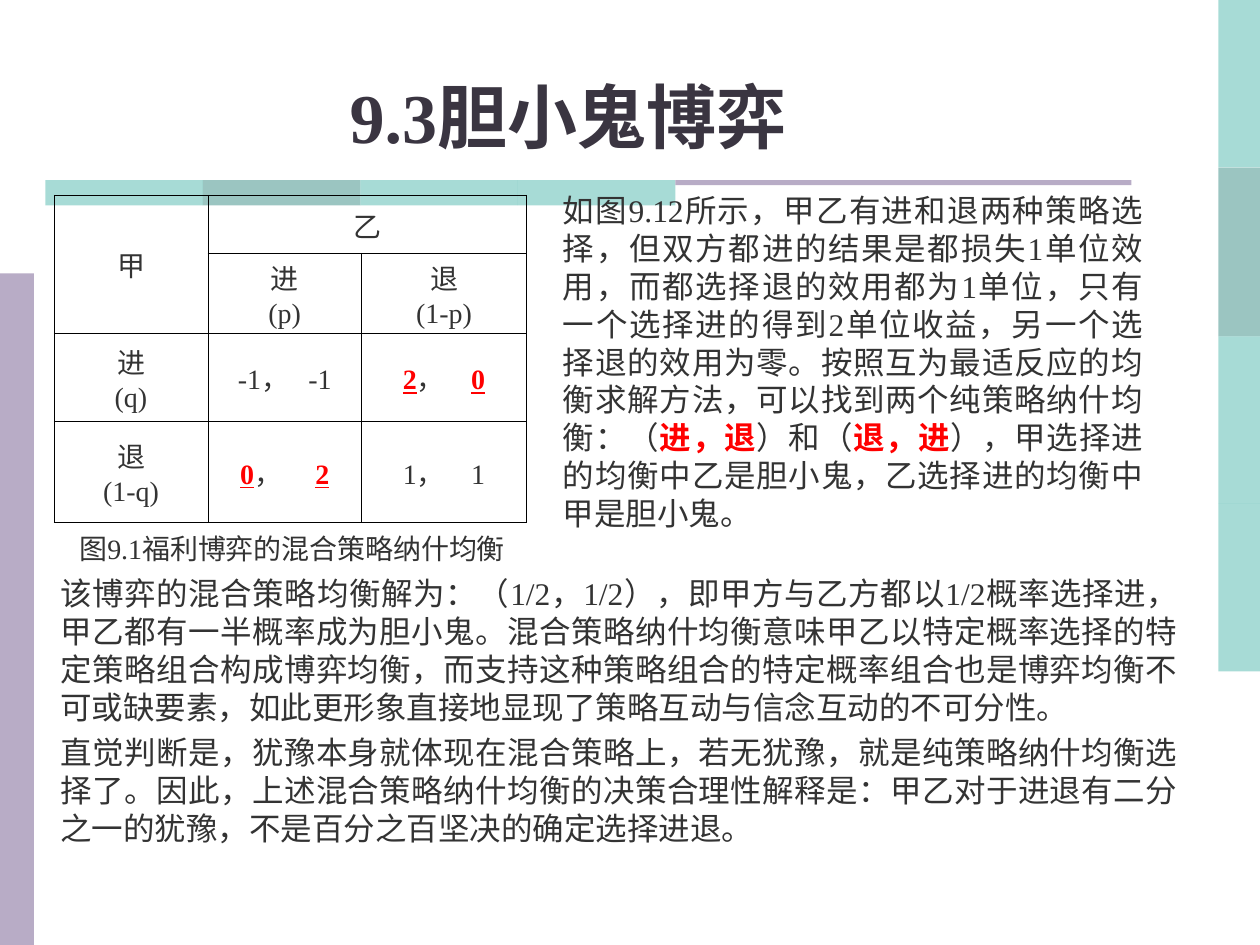
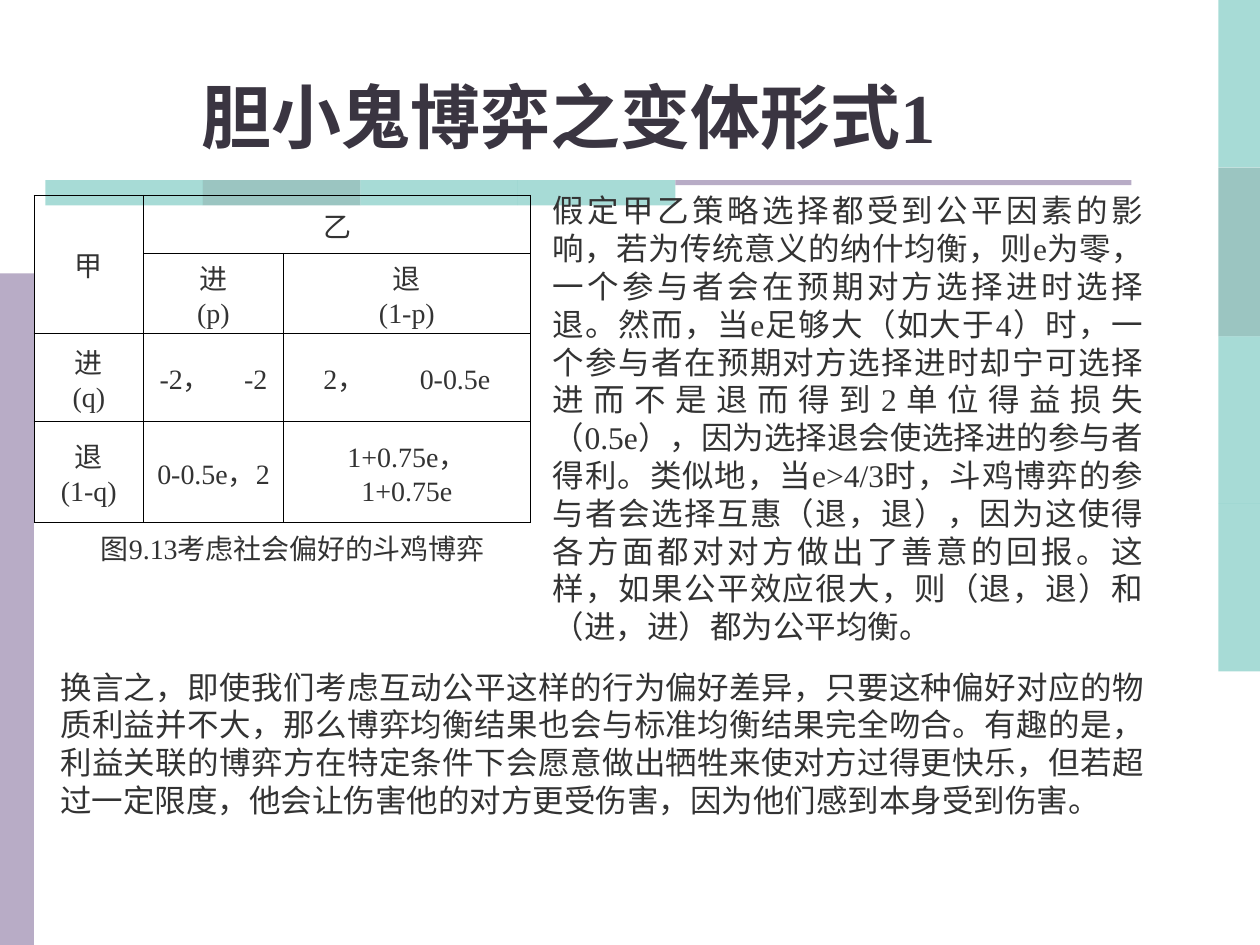
from lxml.etree import SubElement
from pptx import Presentation
from pptx.dml.color import RGBColor
from pptx.enum.shapes import MSO_SHAPE
from pptx.enum.text import MSO_ANCHOR as ANCHOR, MSO_AUTO_SIZE as FIT, PP_ALIGN as ALIGN
from pptx.oxml import parse_xml
from pptx.oxml.ns import nsdecls, qn
from pptx.util import Emu, Pt

EMU_PER_PX = 9144
TEAL, DARK_TEAL, LILAC = "51B9AF", "398D85", "B8ACC6"
INK, TITLE_INK, RED = "333333", "3A3541", "FF0000"
LATIN, EAST_ASIAN = "Times New Roman", "DejaVu Sans"
BODY_PT, SMALL_PT, TITLE_PT = 18, 16, 40
CELL_LINE_PT = 19.2
SPACE_SPC, SPACE_TRIM = 400, 200
ROW_HEIGHTS = [46, 63, 70, 80]


def px(n):
    return Emu(n * EMU_PER_PX)


def rgb(color):
    return RGBColor.from_string(color)


class Deck:
    def __init__(self):
        self.prs = Presentation()
        self.prs.slide_width, self.prs.slide_height = px(1000), px(750)
        self.s = None

    def new_slide(self, title):
        self.s = self.prs.slides.add_slide(self.prs.slide_layouts[5])
        self.bands()
        self.title(title)

    def rect(self, x, y, w, h, color, alpha=None):
        sp = self.s.shapes.add_shape(MSO_SHAPE.RECTANGLE, px(x), px(y), px(w), px(h))
        sp.shadow.inherit = False
        sp.fill.solid()
        sp.fill.fore_color.rgb = rgb(color)
        sp.line.fill.background()
        if alpha:
            clr = sp._element.spPr.find(".//" + qn("a:srgbClr"))
            SubElement(clr, qn("a:alpha"), val=str(alpha * 1000))

    def bands(self):
        edges = [round(i * 400 / 3) for i in range(5)]
        for i, color in enumerate([TEAL, DARK_TEAL, TEAL, TEAL]):
            self.rect(967, edges[i], 33, edges[i + 1] - edges[i], color, 50)
            self.rect(36 + i * 125, 143, 125, 20, color, 50)
        self.rect(0, 217, 27, 533, LILAC)
        self.rect(536, 143, 362, 4, LILAC)

    def run(self, p, text, size, color=INK, bold=False, underline=False, spc=0):
        r = p.add_run()
        r.text = text
        f = r.font
        f.name, f.size, f.bold, f.underline = LATIN, Pt(size), bold, underline
        f.color.rgb = rgb(color)
        rPr = r._r.get_or_add_rPr()
        SubElement(rPr, qn("a:ea"), typeface=EAST_ASIAN)
        if spc:
            rPr.set("spc", str(spc))

    def marked_runs(self, p, text, size, underline=False):
        for i, part in enumerate(text.split("*")):
            if part:
                hot = i % 2 == 1
                self.run(p, part, size, RED if hot else INK, hot, hot and underline)

    def title(self, text):
        sp = self.s.shapes.title
        sp.left, sp.top, sp.width, sp.height = px(0), px(44), px(902), px(86)
        tf = sp.text_frame
        tf.auto_size = FIT.NONE
        tf.vertical_anchor = ANCHOR.BOTTOM
        p = tf.paragraphs[0]
        p.alignment = ALIGN.CENTER
        self.run(p, text, TITLE_PT, TITLE_INK, True)

    def textbox(self, x, y, w, h, wrap):
        tf = self.s.shapes.add_textbox(px(x), px(y), px(w), px(h)).text_frame
        tf.word_wrap = wrap
        tf.auto_size = FIT.SHAPE_TO_FIT_TEXT
        return tf

    def body(self, x, y, w, h, *paragraphs):
        tf = self.textbox(x, y, w, h, True)
        for i, text in enumerate(paragraphs):
            p = tf.add_paragraph() if i else tf.paragraphs[0]
            p.alignment = ALIGN.JUSTIFY
            p.space_before = Pt(4.5)
            p._p.get_or_add_pPr().set("hangingPunct", "0")
            self.marked_runs(p, text, BODY_PT)

    def caption(self, x, w, text):
        p = self.textbox(x, 417, w, 37, False).paragraphs[0]
        p.alignment = ALIGN.CENTER
        self.run(p, text, SMALL_PT)

    def cell(self, cell):
        cell.vertical_anchor = ANCHOR.MIDDLE
        cell.margin_top, cell.margin_bottom = px(7), px(3)
        cell.fill.background()
        tcPr = cell._tc.get_or_add_tcPr()
        for i, side in enumerate(["lnL", "lnR", "lnT", "lnB"]):
            tcPr.insert(i, parse_xml(
                f'<a:{side} {nsdecls("a")} w="5715"><a:solidFill>'
                f'<a:srgbClr val="000000"/></a:solidFill></a:{side}>'))

    def cell_line(self, p):
        p.alignment = ALIGN.CENTER
        p.line_spacing = Pt(CELL_LINE_PT)
        p._p.get_or_add_pPr().set("hangingPunct", "0")
        return p

    def label(self, cell, *lines):
        tf = cell.text_frame
        for i, text in enumerate(lines):
            p = self.cell_line(tf.add_paragraph() if i else tf.paragraphs[0])
            self.run(p, text, SMALL_PT)

    def payoff(self, cell, first, second, gap):
        p = self.cell_line(cell.text_frame.paragraphs[0])
        self.marked_runs(p, first + "，", SMALL_PT, True)
        if gap:
            self.run(p, " ", SMALL_PT, spc=(gap - 1) * SPACE_SPC - SPACE_TRIM)
        self.marked_runs(p, second, SMALL_PT, True)

    def game(self, x, widths, payoffs):
        frame = self.s.shapes.add_table(
            4, 3, px(x), px(155), px(sum(widths)), px(sum(ROW_HEIGHTS)))
        tbl = frame.table
        tbl.first_row = tbl.horz_banding = False
        for col, w in zip(tbl.columns, widths):
            col.width = px(w)
        for row, h in zip(tbl.rows, ROW_HEIGHTS):
            row.height = px(h)
        for c in tbl.iter_cells():
            self.cell(c)
        tbl.cell(0, 0).merge(tbl.cell(1, 0))
        tbl.cell(0, 1).merge(tbl.cell(0, 2))
        self.label(tbl.cell(0, 0), "甲")
        self.label(tbl.cell(0, 1), "乙")
        for i, (move, p_odds, q_odds) in enumerate(
                [("进", "(p)", "(q)"), ("退", "(1-p)", "(1-q)")]):
            self.label(tbl.cell(1, i + 1), move, p_odds)
            self.label(tbl.cell(i + 2, 0), move, q_odds)
            for j, pair in enumerate(payoffs[i]):
                self.payoff(tbl.cell(i + 2, j + 1), *pair)


def main():
    d = Deck()

    d.new_slide("9.3胆小鬼博弈")
    d.body(437, 147, 480, 280,
           "如图9.12所示，甲乙有进和退两种策略选择，但双方都进的结果是都损失1单位效用，"
           "而都选择退的效用都为1单位，只有一个选择进的得到2单位收益，另一个选择退的效用为零。"
           "按照互为最适反应的均衡求解方法，可以找到两个纯策略纳什均衡：（*进，退*）和（*退，进*），"
           "甲选择进的均衡中乙是胆小鬼，乙选择进的均衡中甲是胆小鬼。")
    d.caption(43, 378, "图9.1福利博弈的混合策略纳什均衡")
    d.body(38, 451, 907, 227,
           "该博弈的混合策略均衡解为：（1/2，1/2），即甲方与乙方都以1/2概率选择进，"
           "甲乙都有一半概率成为胆小鬼。混合策略纳什均衡意味甲乙以特定概率选择的特定策略组合构成博弈均衡，"
           "而支持这种策略组合的特定概率组合也是博弈均衡不可或缺要素，"
           "如此更形象直接地显现了策略互动与信念互动的不可分性。",
           "直觉判断是，犹豫本身就体现在混合策略上，若无犹豫，就是纯策略纳什均衡选择了。"
           "因此，上述混合策略纳什均衡的决策合理性解释是：甲乙对于进退有二分之一的犹豫，"
           "不是百分之百坚决的确定选择进退。")
    d.game(43, [122, 122, 131], [
        [("-1", "-1", 3), ("*2*", "*0*", 4)],
        [("*0*", "*2*", 5), ("1", "1", 4)]])

    d.new_slide("胆小鬼博弈之变体形式1")
    d.body(429, 147, 488, 370,
           "假定甲乙策略选择都受到公平因素的影响，若为传统意义的纳什均衡，则e为零，"
           "一个参与者会在预期对方选择进时选择退。然而，当e足够大（如大于4）时，"
           "一个参与者在预期对方选择进时却宁可选择进而不是退而得到2单位得益损失（0.5e），"
           "因为选择退会使选择进的参与者得利。类似地，当e>4/3时，"
           "斗鸡博弈的参与者会选择互惠（退，退），因为这使得各方面都对对方做出了善意的回报。"
           "这样，如果公平效应很大，则（退，退）和（进，进）都为公平均衡。")
    d.caption(60, 345, "图9.13考虑社会偏好的斗鸡博弈")
    d.body(38, 525, 880, 130,
           "换言之，即使我们考虑互动公平这样的行为偏好差异，只要这种偏好对应的物质利益并不大，"
           "那么博弈均衡结果也会与标准均衡结果完全吻合。有趣的是，"
           "利益关联的博弈方在特定条件下会愿意做出牺牲来使对方过得更快乐，但若超过一定限度，"
           "他会让伤害他的对方更受伤害，因为他们感到本身受到伤害。")
    d.game(27, [87, 111, 196], [
        [("-2", "-2", 5), ("2", "0-0.5e", 8)],
        [("0-0.5e", "2", 0), ("1+0.75e", "1+0.75e", 3)]])

    d.prs.save("out.pptx")


if __name__ == "__main__":
    main()
